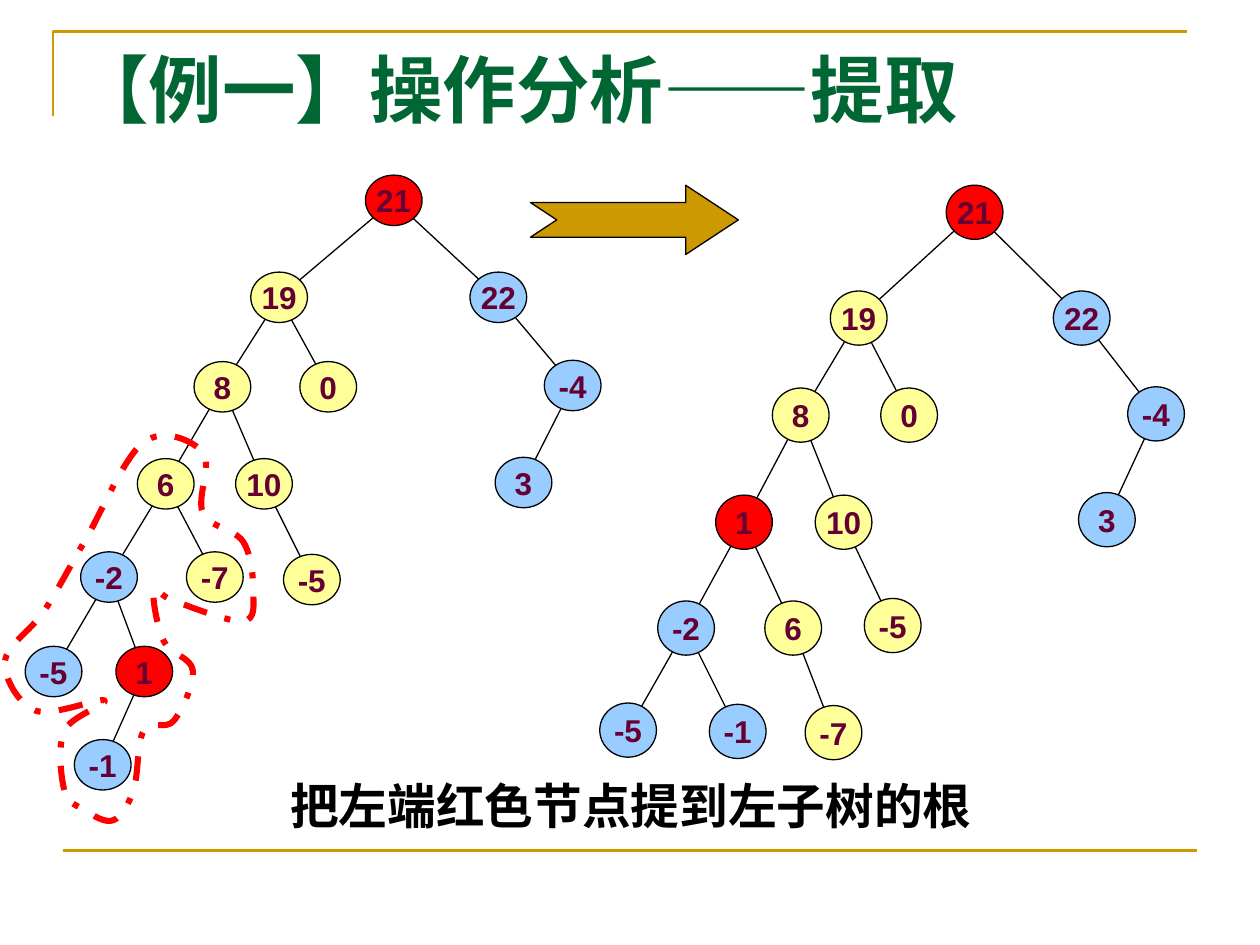
import pptx
import pptx.dml.color
import pptx.enum.dml
import pptx.enum.shapes
import pptx.enum.text
import pptx.oxml
import pptx.oxml.ns
import pptx.util

Inches = pptx.util.Inches
Kind = pptx.enum.shapes.MSO_SHAPE
Anchor = pptx.enum.text.MSO_ANCHOR
Align = pptx.enum.text.PP_ALIGN

GOLD, BLACK, RED = "CC9900", "000000", "FF0000"
YELLOW, BLUE, PLUM, GREEN = "FFFF99", "99CCFF", "660033", "006633"

TITLE = "【例一】操作分析——提取"
NOTE = "把左端红色节点提到左子树的根"
FRAME = [(0.42, 0.92), (0.42, 0.25), (9.42, 0.25)]

# Each node: label, left, top, fill, index of its parent
BEFORE = [
    ("21", 2.9, 1.39, RED, None),
    ("19", 1.99, 2.16, YELLOW, 0),
    ("22", 3.73, 2.16, BLUE, 0),
    ("8", 1.54, 2.87, YELLOW, 1),
    ("0", 2.38, 2.87, YELLOW, 1),
    ("-4", 4.32, 2.86, BLUE, 2),
    ("6", 1.09, 3.64, YELLOW, 3),
    ("10", 1.87, 3.64, YELLOW, 3),
    ("3", 3.93, 3.63, BLUE, 5),
    ("-2", 0.64, 4.38, BLUE, 6),
    ("-7", 1.48, 4.38, YELLOW, 6),
    ("-5", 2.25, 4.4, YELLOW, 7),
    ("-5", 0.2, 5.13, BLUE, 9),
    ("1", 0.92, 5.13, RED, 9),
    ("-1", 0.59, 5.87, BLUE, 13),
]
AFTER = [
    ("21", 7.51, 1.47, RED, None),
    ("19", 6.59, 2.31, YELLOW, 0),
    ("22", 8.36, 2.31, BLUE, 0),
    ("8", 6.13, 3.08, YELLOW, 1),
    ("0", 6.99, 3.08, YELLOW, 1),
    ("-4", 8.95, 3.07, BLUE, 2),
    ("1", 5.68, 3.93, RED, 3),
    ("10", 6.47, 3.93, YELLOW, 3),
    ("3", 8.56, 3.91, BLUE, 5),
    ("-2", 5.22, 4.77, BLUE, 6),
    ("6", 6.07, 4.77, YELLOW, 6),
    ("-5", 6.86, 4.75, YELLOW, 7),
    ("-5", 4.76, 5.58, BLUE, 9),
    ("-1", 5.63, 5.59, BLUE, 9),
    ("-7", 6.39, 5.6, YELLOW, 10),
]
# Points that the dashed loop around the moved subtree passes through
LOOP = [
    (0.51, 6.27), (0.51, 5.8), (0.83, 5.56), (0.28, 5.64), (0.04, 5.25),
    (0.35, 4.85), (0.67, 4.3), (1.14, 3.51), (1.61, 3.59), (1.61, 4.07),
    (1.93, 4.3), (2.01, 4.69), (1.93, 4.93), (1.38, 4.77), (1.22, 4.69),
    (1.3, 5.09), (1.53, 5.32), (1.38, 5.72), (1.14, 5.8), (1.06, 6.27),
    (0.9, 6.51), (0.67, 6.43),
]


def tint(code):
    return pptx.dml.color.RGBColor.from_string(code)


def style(thing, **values):
    for name, value in values.items():
        setattr(thing, name, value)


def stroke(shape, color, width):
    shape.line.color.rgb = tint(color)
    shape.line.width = pptx.util.Pt(width)


def paint(shape, color):
    shape.shadow.inherit = False
    if color:
        shape.fill.solid()
        shape.fill.fore_color.rgb = tint(color)
    else:
        shape.fill.background()


def write(shape, text, size, font, color, align, wrap, anchor, before=0):
    frame = shape.text_frame
    style(frame, word_wrap=wrap, vertical_anchor=anchor)
    para = frame.paragraphs[0]
    style(para, alignment=align, space_before=pptx.util.Pt(before))
    run = para.add_run()
    run.text = text
    style(run.font, name=font, size=pptx.util.Pt(size), bold=True)
    run.font.color.rgb = tint(color)


def link(shapes, start, end, color=BLACK, width=0.75):
    ends = [Inches(v) for v in (*start, *end)]
    line = shapes.add_connector(pptx.enum.shapes.MSO_CONNECTOR.STRAIGHT, *ends)
    stroke(line, color, width)
    line._element.spPr.append(pptx.oxml.parse_xml(
        "<a:effectLst %s/>" % pptx.oxml.ns.nsdecls("a")))


def trace(shapes, points, color, width, close):
    first, *rest = [(Inches(x), Inches(y)) for x, y in points]
    maker = shapes.build_freeform(*first)
    maker.add_line_segments(rest, close=close)
    shape = maker.convert_to_shape()
    paint(shape, None)
    stroke(shape, color, width)
    return shape


def smooth(knots):
    """Bezier points of the closed Catmull-Rom curve through the knots."""
    def lean(i, sign):
        last, here = knots[i - 1], knots[i % len(knots)]
        after = knots[(i + 1) % len(knots)]
        return tuple(h + sign * (a - b) / 6
                     for h, a, b in zip(here, after, last))

    points = [knots[0]]
    for i in range(len(knots)):
        j = (i + 1) % len(knots)
        points += [lean(i, 1), lean(j, -1), knots[j]]
    return points


def bend(shape):
    """Turn each three line segments of an outline into one Bezier curve."""
    lines = shape._element.xpath(".//a:lnTo")
    for i in range(0, len(lines), 3):
        curve = pptx.oxml.parse_xml(
            "<a:cubicBezTo %s/>" % pptx.oxml.ns.nsdecls("a"))
        lines[i].addprevious(curve)
        for line in lines[i:i + 3]:
            curve.append(line[0])
            line.getparent().remove(line)


def tree(slide, nodes, high, wide=0.45):
    shapes = slide.shapes.add_group_shape().shapes
    mids = [(x + wide / 2, y + high / 2) for _, x, y, _, _ in nodes]
    for mid, node in zip(mids, nodes):
        if node[-1] is not None:
            link(shapes, mids[node[-1]], mid)
    for label, x, y, fill, _ in nodes:
        oval = shapes.add_shape(
            Kind.OVAL, *[Inches(v) for v in (x, y, wide, high)])
        paint(oval, fill)
        stroke(oval, BLACK, 0.75)
        write(oval, label, 18, "Arial", PLUM, Align.CENTER, False,
              Anchor.MIDDLE)
    return shapes


def label(slide, box, *args, **more):
    shape = slide.shapes.add_textbox(*[Inches(v) for v in box])
    write(shape, *args, wrap=True, anchor=Anchor.TOP, **more)


def main():
    deck = pptx.Presentation()
    style(deck, slide_width=Inches(10), slide_height=Inches(7.5))
    slide = deck.slides.add_slide(deck.slide_layouts[6])

    trace(slide.shapes, FRAME, GOLD, 1.5, False)
    link(slide.shapes, (0.5, 6.75), (9.5, 6.75), GOLD, 1.5)

    left = tree(slide, BEFORE, 0.4)
    loop = trace(left, smooth(LOOP), RED, 3.5, True)
    loop.line.dash_style = pptx.enum.dml.MSO_LINE.DASH_DOT
    bend(loop)

    arrow = slide.shapes.add_shape(
        Kind.NOTCHED_RIGHT_ARROW,
        *[Inches(v) for v in (4.21, 1.47, 1.65, 0.55)])
    arrow.adjustments[1] = 0.76
    paint(arrow, GOLD)
    stroke(arrow, BLACK, 0.75)

    tree(slide, AFTER, 0.43)

    label(slide, (0.5, 0.3, 9, 1.25), TITLE, 42, "Times New Roman", GREEN,
          Align.LEFT)
    label(slide, (0.51, 6.11, 9, 0.59), NOTE, 27.8, "Arial", BLACK,
          Align.CENTER, before=7.5)
    deck.save("out.pptx")


if __name__ == "__main__":
    main()
